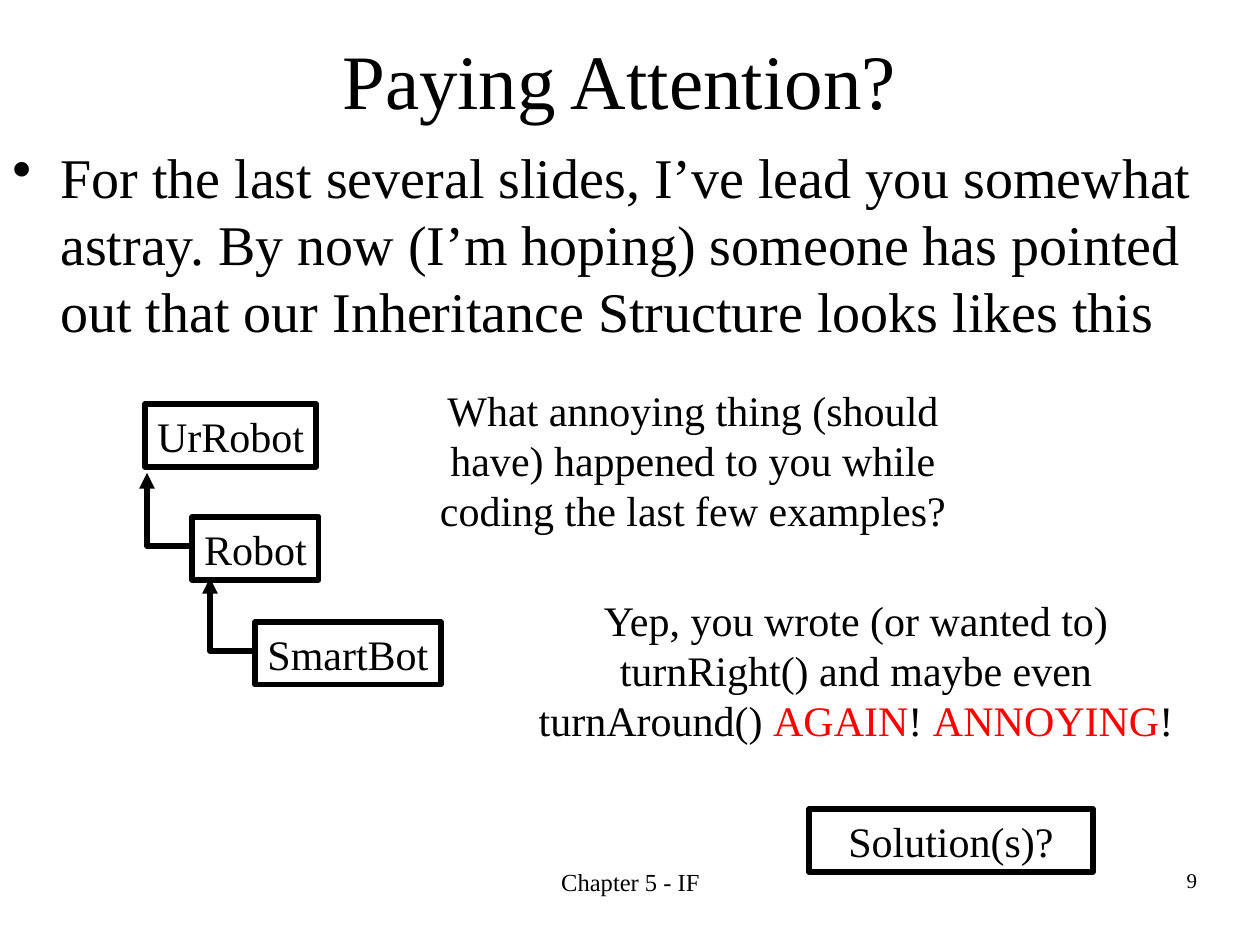
import pptx
import pptx.util
import pptx.dml.color
import pptx.enum.shapes
import pptx.enum.text
import pptx.oxml
import pptx.oxml.ns

RGB = pptx.dml.color.RGBColor
BLACK = RGB(0, 0, 0)
RED = RGB(255, 0, 0)
FONT = "Times New Roman"
SCALE = 914400 // 126
ALIGN = pptx.enum.text.PP_ALIGN
ANCHOR = pptx.enum.text.MSO_ANCHOR
RECT = pptx.enum.shapes.MSO_SHAPE.RECTANGLE


def emu(*nums):
    return [pptx.util.Emu(num * SCALE) for num in nums]


def write(shape, runs, size, gap=0, align=ALIGN.CENTER, anchor=ANCHOR.TOP, wrap=True):
    frame = shape.text_frame
    frame.auto_size = pptx.enum.text.MSO_AUTO_SIZE.NONE
    frame.word_wrap = wrap
    frame.vertical_anchor = anchor
    para = frame.paragraphs[0]
    para.alignment = align
    para.space_before = pptx.util.Pt(gap)
    for text, color in runs:
        run = para.add_run()
        run.text = text
        run.font.name = FONT
        run.font.size = pptx.util.Pt(size)
        run.font.color.rgb = color
    return para


def outline(shape):
    shape.shadow.inherit = False
    shape.fill.background()
    shape.line.color.rgb = BLACK
    shape.line.width = pptx.util.Pt(3)


def add_title(slide, box, text):
    title = slide.shapes.title
    title.left, title.top, title.width, title.height = emu(*box)
    write(title, [(text, BLACK)], 44, anchor=ANCHOR.MIDDLE)


def add_text(slide, box, runs, size=24, gap=15, align=ALIGN.CENTER):
    shape = slide.shapes.add_textbox(*emu(*box))
    return write(shape, runs, size, gap, align)


def add_point(slide, box, text):
    para = add_text(slide, box, [(text, BLACK)], 32, 8, ALIGN.LEFT)
    props = para._p.get_or_add_pPr()
    indent = 48 * SCALE
    props.set("marL", str(indent))
    props.set("indent", str(-indent))
    mark = pptx.oxml.parse_xml(
        f'<a:buChar {pptx.oxml.ns.nsdecls("a")} char="•"/>')
    props.append(mark)


def add_box(slide, box, text, anchor=ANCHOR.MIDDLE, wrap=False):
    shape = slide.shapes.add_shape(RECT, *emu(*box))
    outline(shape)
    write(shape, [(text, BLACK)], 24, 15, anchor=anchor, wrap=wrap)


def add_elbow(slide, left, top):
    wide, high = 42, 73
    path = slide.shapes.build_freeform(left, top, scale=SCALE)
    path.add_line_segments(
        [(left, top + high), (left + wide, top + high)], close=False)
    shape = path.convert_to_shape()
    outline(shape)
    line = shape.line._get_or_add_ln()
    line.append(pptx.oxml.parse_xml(
        f'<a:headEnd {pptx.oxml.ns.nsdecls("a")} type="triangle"/>'))


def add_tree(slide, left, top):
    nodes = [("UrRobot", 0, 0, 171), ("Robot", 47, 113, 127),
             ("SmartBot", 110, 218, 186)]
    for name, right, down, wide in nodes:
        add_box(slide, (left + right, top + down, wide, 63), name)
    for name, right, down, wide in nodes[1:]:
        add_elbow(slide, left + right - 45, top + down - 44)


def add_footer(slide, top):
    add_text(slide, (431, top, 399, 63), [("Chapter 5 - IF", BLACK)], 14, 0)
    add_text(slide, (1134, top, 116, 38), [("9", BLACK)], 12, 7.5)


def main():
    deck = pptx.Presentation()
    deck.slide_width, deck.slide_height = pptx.util.Inches(10), pptx.util.Inches(7.5)
    slide = deck.slides.add_slide(deck.slide_layouts[5])
    add_title(slide, (84, 0, 1071, 158), "Paying Attention?")
    add_point(slide, (0, 136, 1260, 231),
              "For the last several slides, I’ve lead you somewhat astray. "
              "By now (I’m hoping) someone has pointed out that our "
              "Inheritance Structure looks likes this")
    add_tree(slide, 145, 404)
    add_text(slide, (420, 378, 546, 164), [
        ("What annoying thing (should have) happened to you while "
         "coding the last few examples?", BLACK)])
    add_text(slide, (494, 588, 724, 164), [
        ("Yep, you wrote (or wanted to) turnRight() and maybe even "
         "turnAround() ", BLACK),
        ("AGAIN", RED), ("! ", BLACK), ("ANNOYING", RED), ("!", BLACK)])
    add_box(slide, (809, 809, 284, 63), "Solution(s)?", ANCHOR.TOP, True)
    add_footer(slide, 861)
    deck.save("out.pptx")


if __name__ == "__main__":
    main()
